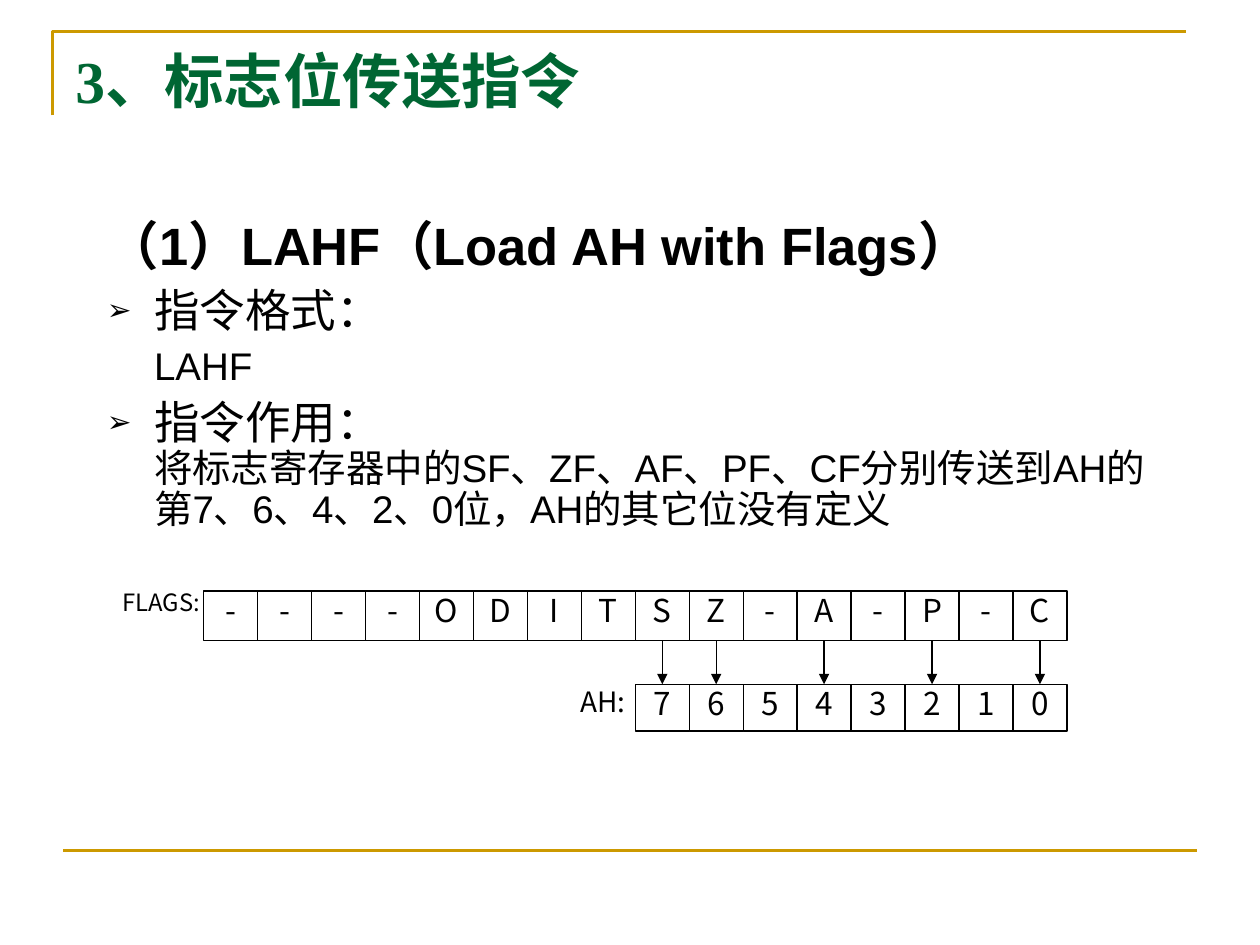
from lxml.etree import SubElement
from pptx import Presentation
from pptx.dml.color import RGBColor
from pptx.enum.shapes import MSO_CONNECTOR, MSO_SHAPE
from pptx.enum.text import MSO_ANCHOR, PP_ALIGN
from pptx.oxml.ns import qn
from pptx.util import Pt

GOLD = RGBColor(0xCC, 0x99, 0x00)
GREEN = RGBColor(0x00, 0x66, 0x33)
BLACK = RGBColor(0x00, 0x00, 0x00)
SANS = "Noto Sans CJK SC"


def write(paragraph, text, size, font=SANS, color=BLACK, bold=False,
          align=PP_ALIGN.LEFT, spacing=None, before=0, margin=0, indent=0, bullet=None):
    properties = paragraph._p.get_or_add_pPr()
    properties.set("marL", str(Pt(margin)))
    properties.set("indent", str(Pt(indent)))
    paragraph.alignment = align
    paragraph.line_spacing = spacing
    paragraph.space_before = Pt(before)
    if bullet:
        bullet_color = SubElement(properties, qn("a:buClr"))
        SubElement(bullet_color, qn("a:srgbClr"), val=str(BLACK))
        SubElement(properties, qn("a:buSzPct"), val="65000")
        SubElement(properties, qn("a:buFont"), typeface="Arial")
        SubElement(properties, qn("a:buChar"), char=bullet)
    run = paragraph.add_run()
    run.text = text
    run.font.size = Pt(size)
    run.font.name = font
    run.font.bold = bold
    run.font.color.rgb = color
    SubElement(run._r.get_or_add_rPr(), qn("a:ea"), typeface=SANS)


def draw_line(x1, y1, x2, y2, color, width, arrow=False):
    line = slide.shapes.add_connector(MSO_CONNECTOR.STRAIGHT, Pt(x1), Pt(y1), Pt(x2), Pt(y2))
    line.line.color.rgb = color
    line.line.width = Pt(width)
    if arrow:
        SubElement(line.line._get_or_add_ln(), qn("a:tailEnd"), type="triangle")
    SubElement(line._element.spPr, qn("a:effectLst"))


presentation = Presentation()
presentation.slide_width = Pt(720)
presentation.slide_height = Pt(540)
slide = presentation.slides.add_slide(presentation.slide_layouts[6])

corner_builder = slide.shapes.build_freeform(Pt(30), Pt(66))
corner_builder.add_line_segments([(Pt(30), Pt(18)), (Pt(678), Pt(18))], close=False)
corner = corner_builder.convert_to_shape()
corner.shadow.inherit = False
corner.fill.background()
corner.line.color.rgb = GOLD
corner.line.width = Pt(1.5)
draw_line(36, 486, 684, 486, GOLD, 1.5)

title = slide.shapes.add_textbox(Pt(36), Pt(21.6), Pt(648), Pt(62.6)).text_frame
title.word_wrap = True
write(title.paragraphs[0], "3、标志位传送指令", 34, font="Times New Roman", color=GREEN, bold=True)

body = slide.shapes.add_textbox(Pt(54), Pt(122.4), Pt(612), Pt(198.7)).text_frame
body.word_wrap = True
body_lines = [
    ("（1）LAHF（Load AH with Flags）", dict(size=30, bold=True, indent=-27)),
    ("指令格式：", dict(size=26, before=6.5, indent=-27, bullet="➢")),
    ("LAHF", dict(size=22, before=5.5)),
    ("指令作用：", dict(size=26, before=6.5, indent=-27, bullet="➢")),
    ("将标志寄存器中的SF、ZF、AF、PF、CF分别传送到AH的第7、6、4、2、0位，AH的其它位没有定义",
     dict(size=22)),
]
for number, (text, style) in enumerate(body_lines):
    paragraph = body.add_paragraph() if number else body.paragraphs[0]
    write(paragraph, text, font="Arial", spacing=0.9, margin=27, **style)

BIT_WIDTH = 30.83
FLAGS_LEFT, FLAGS_TOP, FLAGS_HEIGHT = 116.4, 337.8, 28.4
AH_LEFT, AH_TOP, AH_HEIGHT = FLAGS_LEFT + 8 * BIT_WIDTH, 391, 26.8

register_labels = [
    ("AH:", 331.8, AH_TOP, 30.8, 16, None),
    ("FLAGS:", 70, FLAGS_TOP, 46.4, 13.6, 0.9),
]
for text, left, top, width, size, spacing in register_labels:
    label = slide.shapes.add_textbox(Pt(left), Pt(top), Pt(width), Pt(26.8)).text_frame
    label.word_wrap = True
    label.margin_left = label.margin_right = label.margin_top = label.margin_bottom = 0
    write(label.paragraphs[0], text, size, align=PP_ALIGN.JUSTIFY, spacing=spacing)

registers = [
    ("----ODITSZ-A-P-C", FLAGS_LEFT, FLAGS_TOP, FLAGS_HEIGHT),
    ("76543210", AH_LEFT, AH_TOP, AH_HEIGHT),
]
for bits, left, top, height in registers:
    for position, bit in enumerate(bits):
        cell = slide.shapes.add_shape(MSO_SHAPE.RECTANGLE, Pt(left + position * BIT_WIDTH),
                                      Pt(top), Pt(BIT_WIDTH), Pt(height))
        cell.shadow.inherit = False
        cell.fill.background()
        cell.line.color.rgb = BLACK
        cell.line.width = Pt(0.75)
        frame = cell.text_frame
        frame.word_wrap = True
        frame.vertical_anchor = MSO_ANCHOR.TOP
        frame.margin_left = frame.margin_right = frame.margin_top = frame.margin_bottom = 0
        write(frame.paragraphs[0], bit, 18, align=PP_ALIGN.CENTER)

for copied_bit in (7, 6, 4, 2, 0):
    x = AH_LEFT + (7.5 - copied_bit) * BIT_WIDTH
    draw_line(x, FLAGS_TOP + FLAGS_HEIGHT, x, AH_TOP, BLACK, 0.75, arrow=True)

presentation.save("out.pptx")
